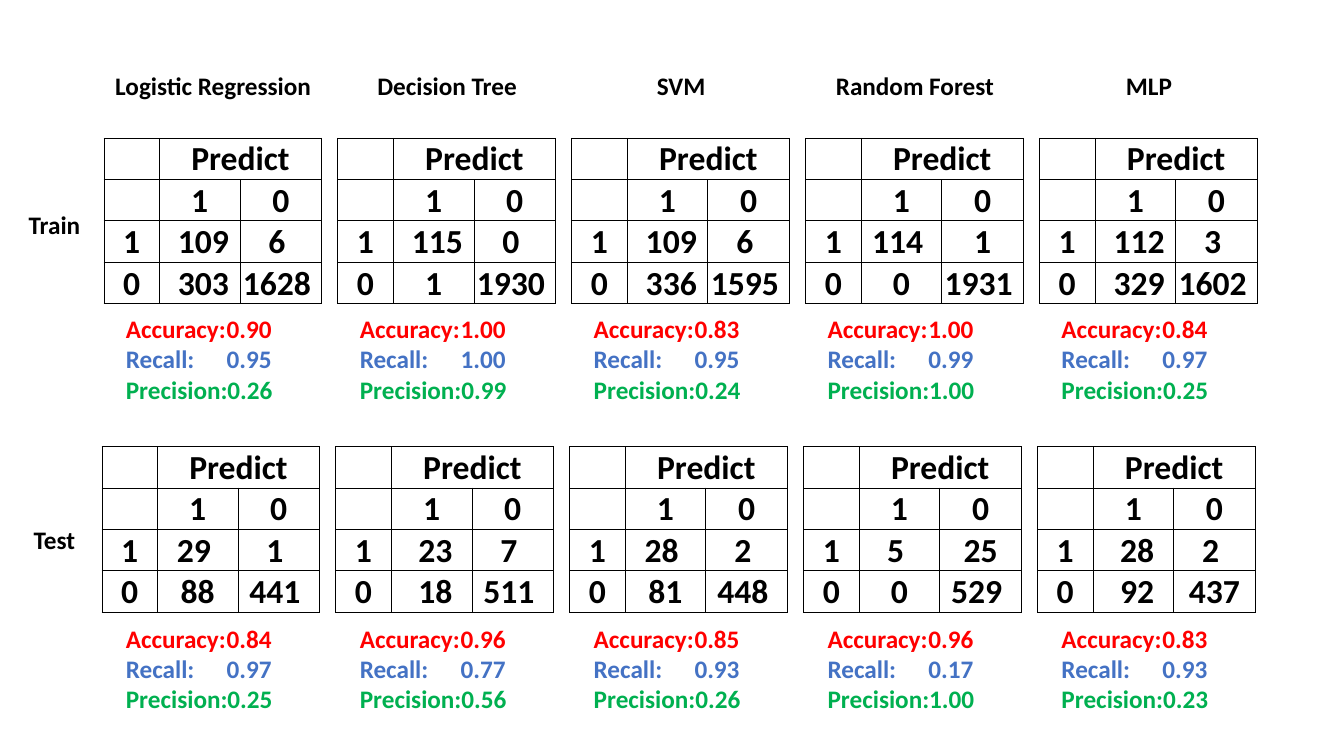
from pptx import Presentation
from pptx.dml.color import RGBColor
from pptx.enum.text import MSO_ANCHOR as Anchor, MSO_AUTO_SIZE as AutoSize, PP_ALIGN as Align
from pptx.oxml import parse_xml
from pptx.oxml.ns import nsdecls
from pptx.util import Inches, Pt

BLACK, RED, BLUE, GREEN = "000000", "FF0000", "4472C4", "00B050"
PITCH = 2.32
NBSP = "\u00a0"

# Per model: row "1" and row "0" of the confusion matrix, then accuracy, recall, precision
MODELS = ["Logistic Regression", "Decision Tree", "SVM", "Random Forest", "MLP"]
TRAIN = [
    ((" 109", "6" + NBSP), (" 303", "1628" + NBSP), ("0.90", "0.95", "0.26")),
    ((" 115", "0" + NBSP), ("1", "1930" + NBSP), ("1.00", "1.00", "0.99")),
    ((" 109", "6" + NBSP), (" 336", "1595" + NBSP), ("0.83", "0.95", "0.24")),
    (("114 ", "1"), ("0", "1931" + NBSP), ("1.00", "0.99", "1.00")),
    ((" 112", "3" + NBSP), (" 329", "1602" + NBSP), ("0.84", "0.97", "0.25")),
]
TEST = [
    (("29 ", "1" + NBSP), ("88", "441" + NBSP), ("0.84", "0.97", "0.25")),
    ((" 23", "7" + NBSP), (" 18", "511" + NBSP), ("0.96", "0.77", "0.56")),
    (("28 ", "2" + NBSP), ("81", "448" + NBSP), ("0.85", "0.93", "0.26")),
    (("5 ", "25"), ("0", "529" + NBSP), ("0.96", "0.17", "1.00")),
    ((" 28", "2" + NBSP), (" 92", "437"), ("0.83", "0.93", "0.23")),
]
# Name, results, label top, matrix left and top, scores top
DATASETS = [
    ("Train", TRAIN, 2.03, 1.03, 1.37, 3.06),
    ("Test", TEST, 5.15, 1.01, 4.43, 6.13),
]
SCORES = [("Accuracy:\t", RED), ("Recall:\t", BLUE), ("Precision:", GREEN)]


def rgb(hex_code):
    """Turn a hex string into a colour."""
    return RGBColor.from_string(hex_code)


class SlideWriter:
    """Holds the text style and the current slide."""

    font = "Calibri"
    label_size = 18
    matrix_size = 24
    matrix_columns = (0.55, 0.8, 0.81)
    matrix_row = 0.41

    def __init__(self, slide):
        """Keep the slide to draw on."""
        self.slide = slide

    def run(self, paragraph, wording, size, color=BLACK):
        """Add one bold run to a paragraph."""
        run = paragraph.add_run()
        run.text = wording
        run.font.name, run.font.size, run.font.bold = self.font, Pt(size), True
        run.font.color.rgb = rgb(color)

    def text(self, left, top, width, height, lines, align=Align.LEFT):
        """Add a text box with one paragraph for each (wording, colour) line."""
        box = self.slide.shapes.add_textbox(
            Inches(left), Inches(top), Inches(width), Inches(height))
        frame = box.text_frame
        frame.word_wrap = True
        frame.auto_size = AutoSize.SHAPE_TO_FIT_TEXT
        for index, (wording, color) in enumerate(lines):
            paragraph = frame.add_paragraph() if index else frame.paragraphs[0]
            paragraph.alignment = align
            paragraph._p.get_or_add_pPr().set("defTabSz", str(Inches(1)))
            self.run(paragraph, wording, self.label_size, color)

    def label(self, left, top, width, wording):
        """Add a centred one-line label."""
        self.text(left, top, width, 0.4, [(wording, BLACK)], Align.CENTER)

    def border(self, cell):
        """Draw a thin black line on all four sides of a cell."""
        for position, side in enumerate(("lnL", "lnR", "lnT", "lnB")):
            cell._tc.get_or_add_tcPr().insert(position, parse_xml(
                f'<a:{side} {nsdecls("a")} w="{Pt(0.5)}"><a:solidFill>'
                f'<a:srgbClr val="{BLACK}"/></a:solidFill></a:{side}>'))

    def matrix(self, left, top, actual_one, actual_zero):
        """Add a confusion matrix table."""
        rows = [("", "Predict", ""), ("", "1", "0"),
                ("1", *actual_one), ("0", *actual_zero)]
        table = self.slide.shapes.add_table(
            len(rows), len(self.matrix_columns), Inches(left), Inches(top),
            Inches(sum(self.matrix_columns)), Inches(self.matrix_row * len(rows))).table
        table.first_row = table.horz_banding = False
        for column, width in zip(table.columns, self.matrix_columns):
            column.width = Inches(width)
        for row, values in zip(table.rows, rows):
            row.height = Inches(self.matrix_row)
            for cell, value in zip(row.cells, values):
                cell.fill.background()
                self.border(cell)
                cell.margin_left = cell.margin_right = cell.margin_top = Inches(0.01)
                cell.margin_bottom = 0
                cell.vertical_anchor = Anchor.BOTTOM
                if value:
                    paragraph = cell.text_frame.paragraphs[0]
                    paragraph.alignment = Align.CENTER
                    self.run(paragraph, value, self.matrix_size)
        table.cell(0, 1).merge(table.cell(0, 2))


def main():
    """Build the slide and save it."""
    deck = Presentation()
    deck.slide_width, deck.slide_height = Inches(13.33), Inches(7.5)
    writer = SlideWriter(deck.slides.add_slide(deck.slide_layouts[6]))

    for index, model in enumerate(MODELS):
        writer.label(0.95 + index * PITCH, 0.65, 2.33, model)

    for dataset, results, label_top, matrix_left, matrix_top, scores_top in DATASETS:
        writer.label(-0.44, label_top, 1.96, dataset)
        for index, (actual_one, actual_zero, scores) in enumerate(results):
            offset = index * PITCH
            writer.matrix(matrix_left + offset, matrix_top, actual_one, actual_zero)
            lines = [(name + score, color) for (name, color), score in zip(SCORES, scores)]
            writer.text(1.15 + offset, scores_top, 2.13, 1.01, lines)

    deck.save("out.pptx")


main()
